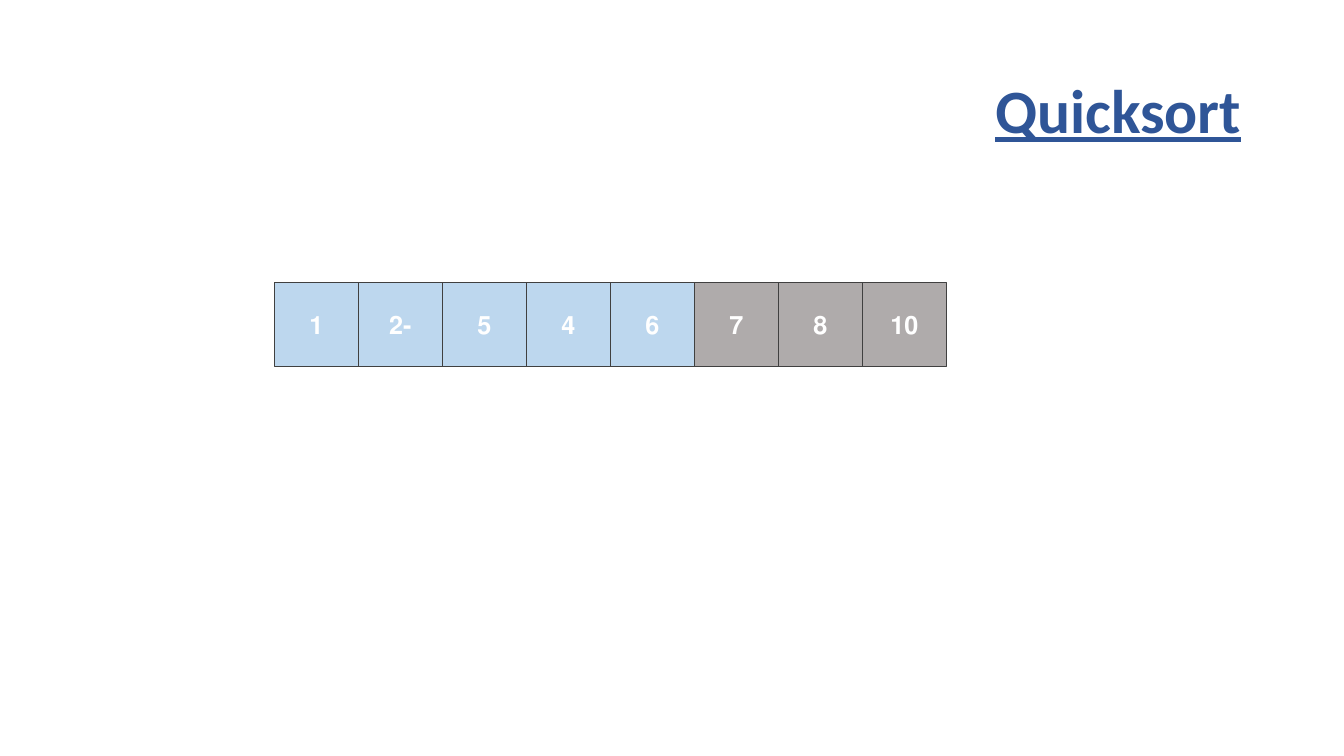
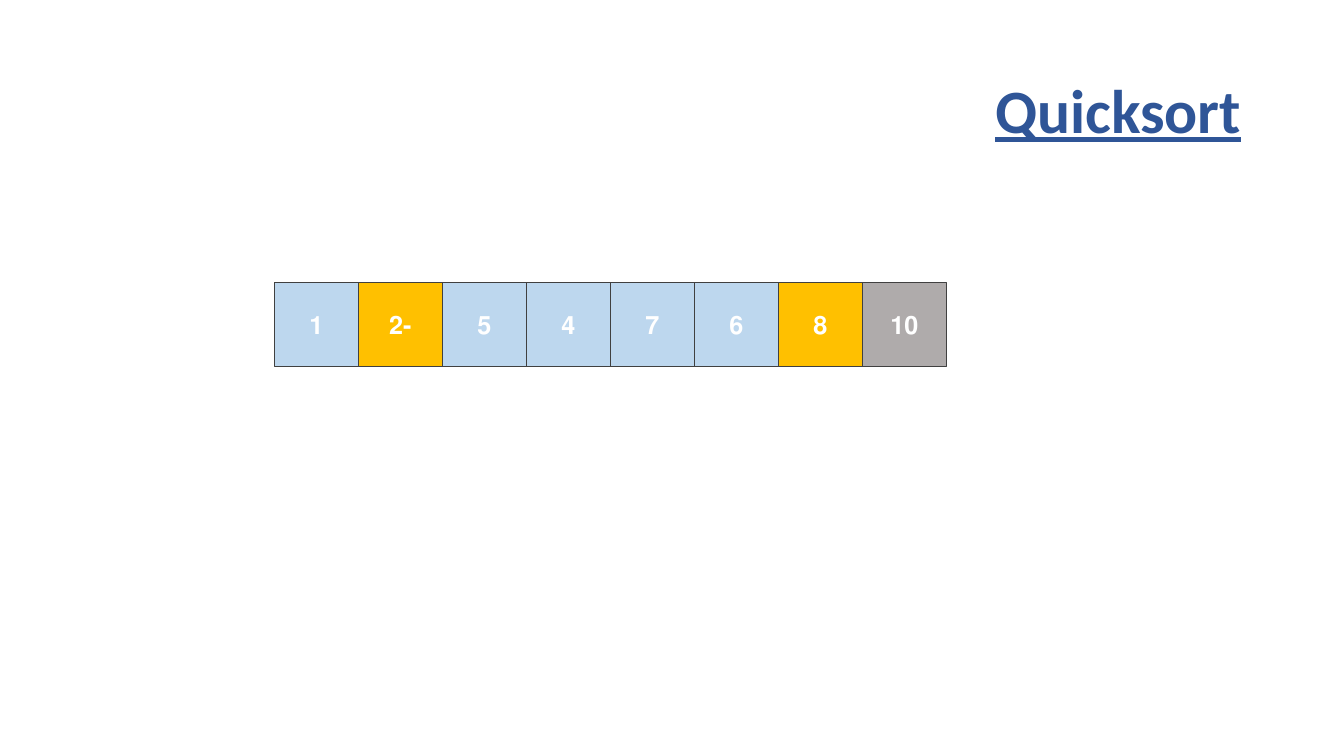
from pptx import Presentation
from pptx.dml.color import RGBColor
from pptx.enum.shapes import MSO_SHAPE
from pptx.enum.text import MSO_ANCHOR, PP_ALIGN
from pptx.util import Pt

RECTANGLE = MSO_SHAPE.RECTANGLE
MIDDLE = MSO_ANCHOR.MIDDLE
CENTER = PP_ALIGN.CENTER
RIGHT = PP_ALIGN.RIGHT

TITLE_BLUE = RGBColor(0x2F, 0x55, 0x97)
LIGHT_BLUE = RGBColor(0xBD, 0xD7, 0xEE)
GRAY = RGBColor(0xAF, 0xAB, 0xAB)
AMBER = RGBColor(0xFF, 0xC0, 0x00)
DARK_GRAY = RGBColor(0x40, 0x40, 0x40)
WHITE = RGBColor(0xFF, 0xFF, 0xFF)

FONT = "Calibri"
TITLE_ONLY = 5
CELL_SIZE = 60
ARRAY_LEFT = 196
ARRAY_TOP = 201.6

# Each step lists the array values with the fill of their cells.
STEPS = [
    [("1", LIGHT_BLUE), ("-2", LIGHT_BLUE), ("5", LIGHT_BLUE), ("4", LIGHT_BLUE),
     ("6", LIGHT_BLUE), ("7", GRAY), ("8", GRAY), ("10", GRAY)],
    [("1", LIGHT_BLUE), ("-2", AMBER), ("5", LIGHT_BLUE), ("4", LIGHT_BLUE),
     ("7", LIGHT_BLUE), ("6", LIGHT_BLUE), ("8", AMBER), ("10", GRAY)],
]


def set_text(shape, text, size, color, alignment):
    """Write one bold right-to-left paragraph and return it."""
    text_frame = shape.text_frame
    text_frame.text = text
    text_frame.vertical_anchor = MIDDLE
    paragraph = text_frame.paragraphs[0]
    paragraph.alignment = alignment
    paragraph._p.get_or_add_pPr().set("rtl", "1")
    font = paragraph.runs[0].font
    font.name = FONT
    font.size = Pt(size)
    font.bold = True
    font.color.rgb = color
    return paragraph


def add_title(slide, text):
    """Place and format the title placeholder."""
    title = slide.shapes.title
    title.left, title.top = Pt(66), Pt(28.8)
    title.width, title.height = Pt(828), Pt(104.4)
    paragraph = set_text(title, text, 44, TITLE_BLUE, RIGHT)
    paragraph.line_spacing = 0.9
    paragraph.runs[0].font.underline = True


def add_cell(slide, index, value, fill):
    """Draw one array cell at its index."""
    cell = slide.shapes.add_shape(
        RECTANGLE, Pt(ARRAY_LEFT + index * CELL_SIZE), Pt(ARRAY_TOP),
        Pt(CELL_SIZE), Pt(CELL_SIZE))
    cell.shadow.inherit = False
    cell.fill.solid()
    cell.fill.fore_color.rgb = fill
    cell.line.color.rgb = DARK_GRAY
    cell.line.width = Pt(1)
    set_text(cell, value, 18, WHITE, CENTER)


def add_step_slide(presentation, step):
    """Add a slide that shows the array at one sorting step."""
    slide = presentation.slides.add_slide(presentation.slide_layouts[TITLE_ONLY])
    add_title(slide, "Quicksort")
    for index, (value, fill) in enumerate(step):
        add_cell(slide, index, value, fill)


def main():
    """Build and save the presentation."""
    presentation = Presentation()
    presentation.slide_width, presentation.slide_height = Pt(960), Pt(540)
    for step in STEPS:
        add_step_slide(presentation, step)
    presentation.save("out.pptx")


main()
